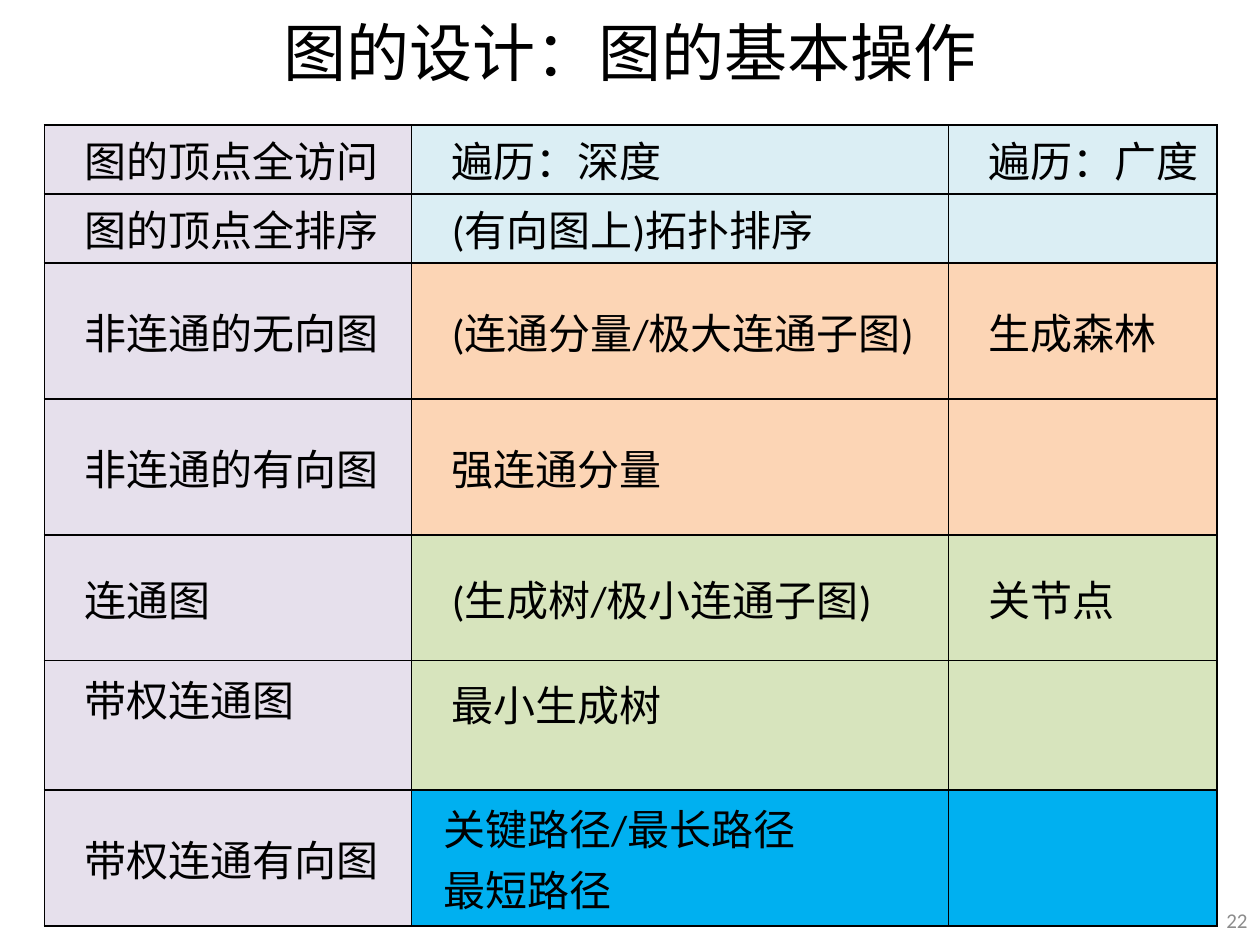
from dataclasses import dataclass

from pptx import Presentation
from pptx.dml.color import RGBColor
from pptx.enum.text import MSO_ANCHOR, PP_ALIGN
from pptx.oxml import parse_xml
from pptx.oxml.ns import nsdecls
from pptx.util import Pt


@dataclass(frozen=True)
class Theme:
    ink: str = "000000"
    muted: str = "8C8C8C"
    label: str = "E6E0EC"
    blue: str = "DBEEF4"
    orange: str = "FCD5B5"
    green: str = "D7E4BD"
    cyan: str = "00B0F0"
    cjk: str = "Noto Sans CJK SC"
    latin: str = "Calibri"
    title: int = 36
    body: int = 24
    number: int = 12


T = Theme()


def style(p, size, font, color):
    p.font.size = Pt(size)
    p.font.name = font
    p.font.color.rgb = RGBColor.from_string(color)


def add_borders(cell):
    tcPr = cell._tc.get_or_add_tcPr()
    for i, side in enumerate(("lnL", "lnR", "lnT", "lnB")):
        tcPr.insert(i, parse_xml(
            f'<a:{side} {nsdecls("a")} w="{Pt(1)}"><a:solidFill>'
            f'<a:srgbClr val="{T.ink}"/></a:solidFill></a:{side}>'))


prs = Presentation()
prs.slide_width, prs.slide_height = Pt(720), Pt(540)
s = prs.slides.add_slide(prs.slide_layouts[5])

title = s.shapes.title
title.left, title.top, title.width, title.height = Pt(36), Pt(3.6), Pt(648), Pt(51)
title.text_frame.text = "图的设计：图的基本操作"
title.text_frame.vertical_anchor = MSO_ANCHOR.MIDDLE
p = title.text_frame.paragraphs[0]
p.alignment = PP_ALIGN.CENTER
style(p, T.title, T.cjk, T.ink)

rows = [
    (39.5, T.blue, ("图的顶点全访问", "遍历：深度", "遍历：广度")),
    (39.5, T.blue, ("图的顶点全排序", "(有向图上)拓扑排序", "")),
    (77.7, T.orange, ("非连通的无向图", "(连通分量/极大连通子图)", "生成森林")),
    (77.7, T.orange, ("非连通的有向图", "强连通分量", "")),
    (71.8, T.green, ("连通图", "(生成树/极小连通子图)", "关节点")),
    (73.8, T.green, ("带权连通图", "最小生成树", "")),
    (77.7, T.cyan, ("带权连通有向图", "关键路径/最长路径\n最短路径", "")),
]
widths = (209.8, 306.7, 153.5)

table = s.shapes.add_table(len(rows), len(widths), Pt(25.4), Pt(71.4),
                           Pt(sum(widths)), Pt(sum(r[0] for r in rows))).table
table.first_row = table.horz_banding = False
for col, width in zip(table.columns, widths):
    col.width = Pt(width)

for r, (height, fill, texts) in enumerate(rows):
    table.rows[r].height = Pt(height)
    for c, text in enumerate(texts):
        cell = table.cell(r, c)
        cell.margin_left = cell.margin_right = Pt(0 if "\n" in text else 5)
        cell.margin_top = cell.margin_bottom = Pt(0)
        cell.vertical_anchor = MSO_ANCHOR.MIDDLE
        if texts[0] == "带权连通图":
            cell.vertical_anchor = MSO_ANCHOR.TOP
            cell.margin_top = Pt(4 if c == 0 else 7)
        cell.fill.solid()
        cell.fill.fore_color.rgb = RGBColor.from_string(T.label if c == 0 else fill)
        add_borders(cell)
        cell.text_frame.text = text
        for p in cell.text_frame.paragraphs:
            p._p.get_or_add_pPr().set("indent", str(Pt(18)))
            style(p, T.body, T.cjk if c == 0 else T.latin, T.ink)

number = s.shapes.add_textbox(Pt(689), Pt(511.2), Pt(31), Pt(28.8))
tf = number.text_frame
tf.word_wrap = True
tf.vertical_anchor = MSO_ANCHOR.MIDDLE
tf.text = "22"
p = tf.paragraphs[0]
p.alignment = PP_ALIGN.RIGHT
style(p, T.number, T.latin, T.muted)

prs.save("out.pptx")
